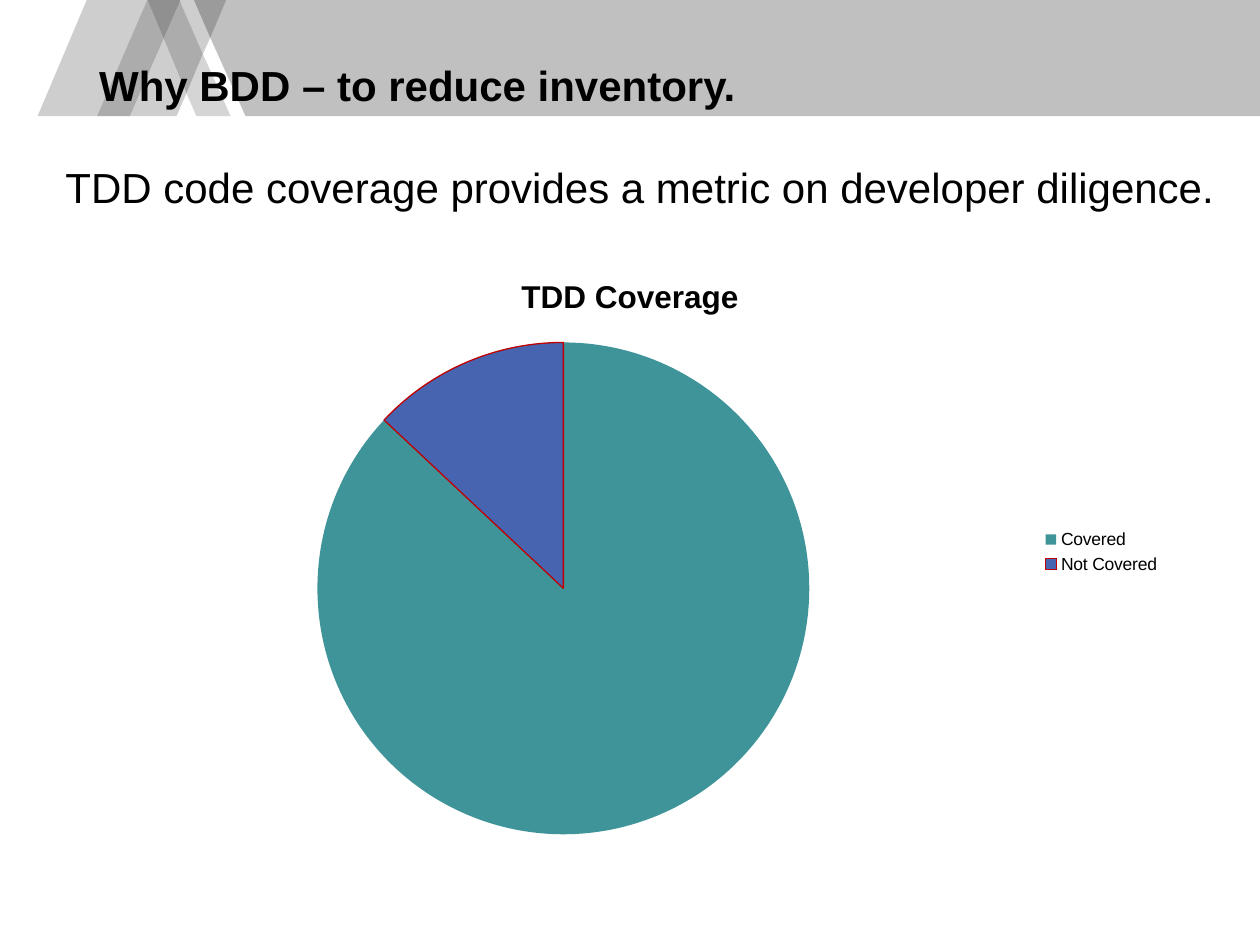
from collections import namedtuple
from dataclasses import dataclass

from pptx import Presentation
from pptx import util as u
from pptx.chart.data import CategoryChartData
from pptx.dml.color import RGBColor
from pptx.enum import chart as charts, text

Box = namedtuple("Box", "left top width height")


@dataclass(frozen=True)
class Theme:
    font: str = "Arial"
    ink: str = "000000"
    band: str = "C1C0C0"
    pale: str = "D5D5D5"
    light: str = "CECECE"
    middle: str = "ACACAC"
    dark: str = "9B9B9B"
    darkest: str = "909090"
    covered: str = "3F949A"
    not_covered: str = "4764B0"
    outline: str = "C00000"
    heading_size: int = 24
    chart_title_size: int = 18
    legend_size: int = 10


THEME = Theme()


def style_font(font, size, bold=False):
    font.name = THEME.font
    font.size = u.Pt(size)
    font.bold = bold
    font.color.rgb = RGBColor.from_string(THEME.ink)


def add_polygon(slide, box, points, color):
    """Fill a closed outline whose points are in cm from the box's corner."""
    corners = [(u.Cm(box.left + x), u.Cm(box.top + y)) for x, y in points]
    builder = slide.shapes.build_freeform(*corners[0])
    builder.add_line_segments(corners[1:], close=True)
    shape = builder.convert_to_shape()
    shape.shadow.inherit = False
    shape.fill.solid()
    shape.fill.fore_color.rgb = RGBColor.from_string(color)
    shape.line.fill.background()


def add_header(slide, box):
    """Draw the grey band and the crossing stripes at its left end."""
    right, bottom = box.width, box.height
    # Points where the stripes cross
    left_cross, top_cross = (3.3, 0.78), (3.63, 0.03)
    right_cross, low_cross = (4.09, 1.09), (3.76, 1.88)
    band_tip = (4.24, 0.76)
    small_triangle = [(3.91, 0), band_tip, (4.56, 0)]

    pieces = [
        (THEME.band, [band_tip, (4.95, bottom), (right, bottom), (right, 0), (4.55, 0)]),
        (THEME.pale, [right_cross, low_cross, (3.96, bottom), (4.65, bottom)]),
        (THEME.light, [(3.91, 0), (3.63, 0), top_cross, right_cross, band_tip]),
        (THEME.light, [left_cross, (2.62, bottom), (3.56, bottom), low_cross]),
        (THEME.light, [(2.97, 0), (1.75, 0), (0.76, bottom), (1.98, bottom)]),
        (THEME.band, small_triangle),
        (THEME.dark, small_triangle),
        (THEME.middle, [top_cross, left_cross, low_cross, right_cross]),
        (THEME.middle, [(2.97, 0), (1.96, bottom), (2.62, bottom), left_cross]),
        (THEME.darkest, [(3.63, 0), (2.97, 0), left_cross, top_cross]),
    ]
    for color, points in pieces:
        add_polygon(slide, box, points, color)


def add_heading(slide, box, wording, bold=False, wrap=True, top_inset=0.13):
    shape = slide.shapes.add_textbox(*map(u.Cm, box))
    frame = shape.text_frame
    frame.word_wrap = wrap
    frame.vertical_anchor = text.MSO_ANCHOR.TOP
    frame.margin_top = u.Cm(top_inset)
    run = frame.paragraphs[0].add_run()
    run.text = wording
    style_font(run.font, THEME.heading_size, bold)


def add_coverage_chart(slide, box):
    data = CategoryChartData()
    data.categories = ["Covered", "Not Covered"]
    data.add_series("TDD Coverage", (87, 13))
    chart = slide.shapes.add_chart(
        charts.XL_CHART_TYPE.PIE, *map(u.Cm, box), data
    ).chart
    style_font(chart.font, THEME.legend_size)

    chart.has_title = True
    title_run = chart.chart_title.text_frame.paragraphs[0].add_run()
    title_run.text = "TDD Coverage"
    style_font(title_run.font, THEME.chart_title_size, bold=True)
    chart.chart_title.include_in_layout = False

    chart.has_legend = True
    chart.legend.position = charts.XL_LEGEND_POSITION.RIGHT
    chart.legend.include_in_layout = False
    style_font(chart.legend.font, THEME.legend_size)

    plot = chart.plots[0]
    plot.vary_by_categories = True
    series = plot.series[0]
    for index, color in enumerate((THEME.covered, THEME.not_covered)):
        fill = series.points[index].format.fill
        fill.solid()
        fill.fore_color.rgb = RGBColor.from_string(color)
    series.points[0].format.line.fill.background()
    for outlined in (series, series.points[1]):
        line = outlined.format.line
        line.color.rgb = RGBColor.from_string(THEME.outline)
        line.width = u.Pt(0.75)


def main():
    presentation = Presentation()
    presentation.slide_width = u.Cm(25.4)
    presentation.slide_height = u.Cm(19.05)
    slide = presentation.slides.add_slide(presentation.slide_layouts[6])

    add_header(slide, Box(0, 0, 25.4, 2.34))
    add_heading(slide, Box(1.75, 1.02, 21.9, 3.68),
                "Why BDD – to reduce inventory.", bold=True, top_inset=0.18)
    add_heading(slide, Box(1.07, 3.12, 23.93, 1.27),
                "TDD code coverage provides a metric on developer diligence.",
                wrap=False)
    add_coverage_chart(slide, Box(1.75, 5.08, 21.9, 12.09))

    presentation.save("out.pptx")


if __name__ == "__main__":
    main()
